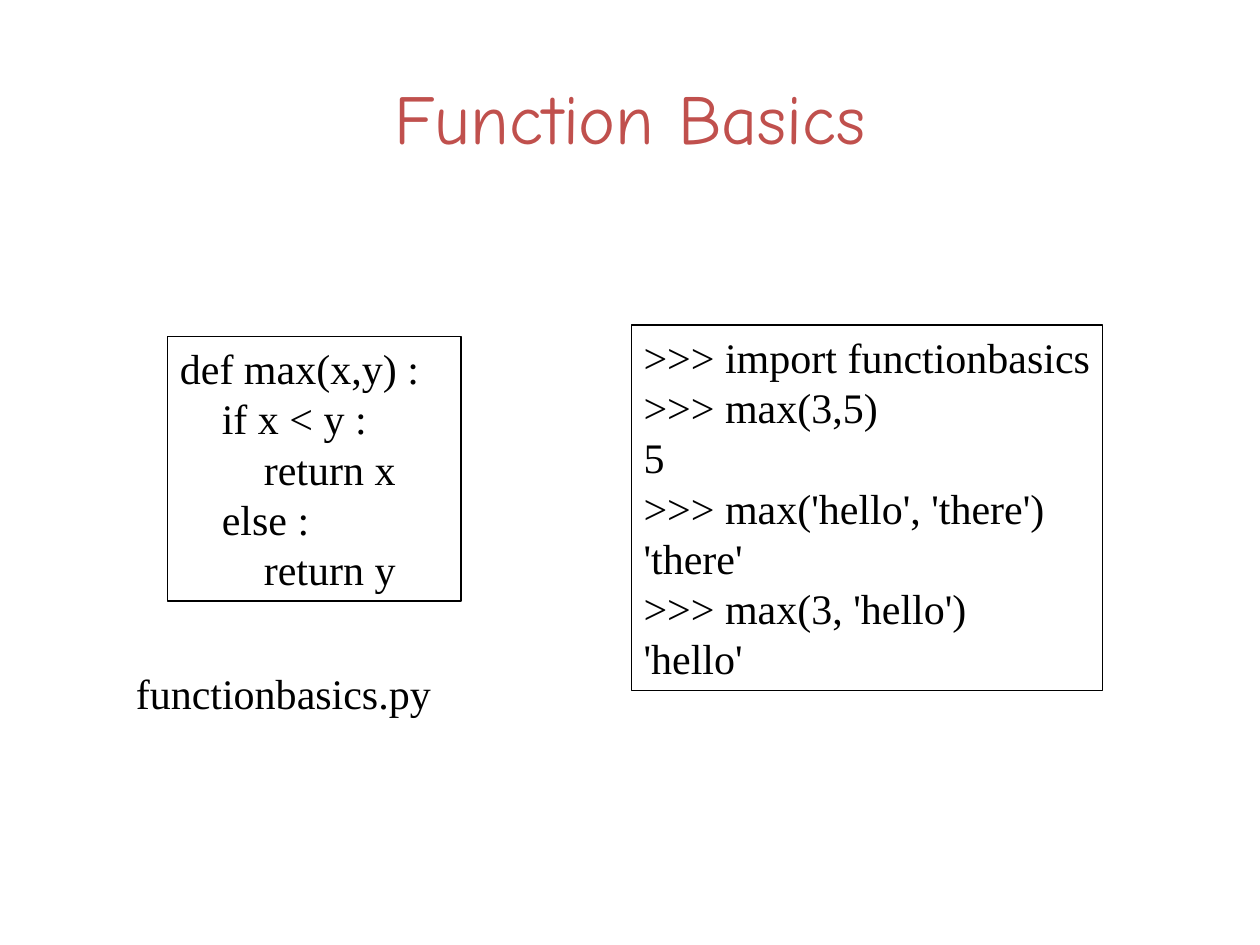
from pptx import Presentation
from pptx.dml.color import RGBColor
from pptx.enum.shapes import MSO_SHAPE
from pptx.enum.text import MSO_ANCHOR, MSO_AUTO_SIZE, PP_ALIGN
from pptx.util import Inches, Pt

RECTANGLE = MSO_SHAPE.RECTANGLE
LEFT, CENTER = PP_ALIGN.LEFT, PP_ALIGN.CENTER
TOP, MIDDLE = MSO_ANCHOR.TOP, MSO_ANCHOR.MIDDLE
FIT_SHAPE = MSO_AUTO_SIZE.SHAPE_TO_FIT_TEXT

BLACK, RED = "000000", "C0504D"
BODY_FONT, TITLE_FONT = "Times New Roman", "Comic Neue"

TITLE = "Function Basics"
FILE_NAME = "functionbasics.py"
DEFINITION = [
    "def max(x,y) :",
    "    if x < y :",
    "        return x",
    "    else :",
    "        return y",
]
SESSION = [
    ">>> import functionbasics",
    ">>> max(3,5)",
    "5",
    ">>> max('hello', 'there')",
    "'there'",
    ">>> max(3, 'hello')",
    "'hello'",
]


def color(value):
    return RGBColor.from_string(value)


def write_body(box, lines):
    frame = box.text_frame
    frame.text = "\n".join(lines)
    frame.word_wrap = True
    frame.auto_size = FIT_SHAPE
    frame.vertical_anchor = TOP
    frame.margin_right = Inches(0.05)
    for para in frame.paragraphs:
        para.alignment = LEFT
        para.line_spacing = Pt(28.75)
        para.font.name = BODY_FONT
        para.font.size = Pt(24)
        para.font.color.rgb = color(BLACK)


def add_code(page, place, lines):
    box = page.shapes.add_shape(RECTANGLE, *map(Inches, place))
    box.shadow.inherit = False
    box.fill.background()
    box.line.color.rgb = color(BLACK)
    box.line.width = Pt(0.75)
    write_body(box, lines)


deck = Presentation()
deck.slide_width, deck.slide_height = Inches(10), Inches(7.5)
page = deck.slides.add_slide(deck.slide_layouts[6])

title = page.shapes.add_textbox(*map(Inches, (0.5, 0.3, 9, 1.25)))
title.text_frame.word_wrap = True
title.text_frame.vertical_anchor = MIDDLE
para = title.text_frame.paragraphs[0]
para.text = TITLE
para.alignment = CENTER
para.font.name = TITLE_FONT
para.font.size = Pt(40)
para.font.color.rgb = color(RED)

add_code(page, (1.33, 2.67, 2.33, 2.1), DEFINITION)
add_code(page, (5.01, 2.58, 3.74, 2.9), SESSION)

caption = page.shapes.add_textbox(*map(Inches, (0.98, 5.25, 2.91, 0.5)))
write_body(caption, [FILE_NAME])

deck.save("out.pptx")
